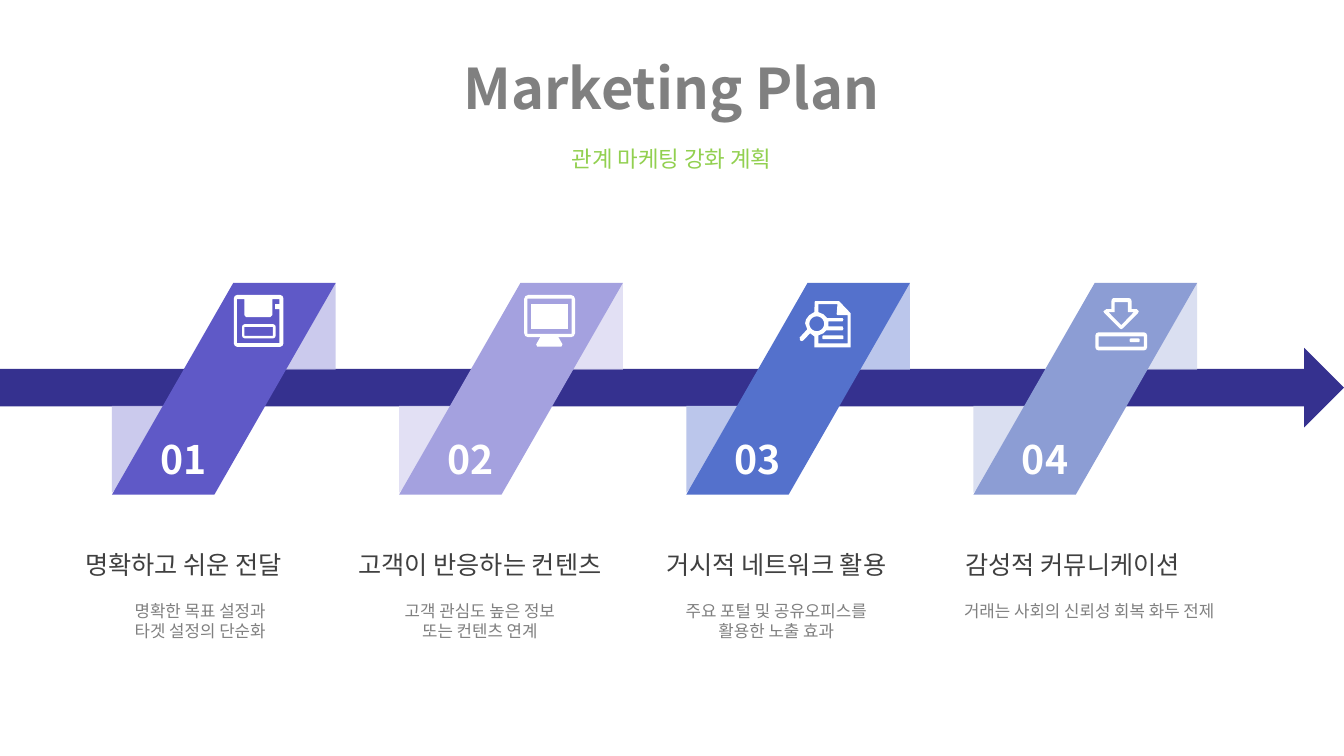
from math import cos, pi, sin

from lxml.etree import SubElement
from pptx import Presentation
from pptx.dml.color import RGBColor
from pptx.enum.shapes import MSO_SHAPE as Preset
from pptx.enum.text import MSO_ANCHOR as Anchor, PP_ALIGN as Align
from pptx.oxml.ns import qn
from pptx.util import Pt

FONT = "Noto Sans CJK KR"
WHITE = RGBColor(0xFF, 0xFF, 0xFF)
GRAY = RGBColor(0x80, 0x80, 0x80)
DARK = RGBColor(0x40, 0x40, 0x40)
GREEN = RGBColor(0x92, 0xD0, 0x50)
NAVY = RGBColor(0x35, 0x31, 0x8F)
VIOLET, VIOLET_FOLD = RGBColor(0x5F, 0x59, 0xC7), RGBColor(0xBF, 0xBD, 0xE9)
LILAC, LILAC_FOLD = RGBColor(0xA4, 0xA1, 0xDF), RGBColor(0xDB, 0xD9, 0xF2)
BLUE, BLUE_FOLD = RGBColor(0x54, 0x71, 0xCC), RGBColor(0xBB, 0xC6, 0xEB)
MIST, MIST_FOLD = RGBColor(0x8C, 0x9D, 0xD4), RGBColor(0xD1, 0xD8, 0xEE)


def rounded(left, top, right, bottom, cut=0):
    """Return the outline of a rectangle with softened corners."""
    if not cut:
        return [(left, top), (right, top), (right, bottom), (left, bottom)]
    near = cut * 0.3
    corners = [(left, top, 1, 1), (right, top, -1, 1),
               (right, bottom, -1, -1), (left, bottom, 1, -1)]
    outline = []
    for x, y, dx, dy in corners:
        arc = [(x, y + dy * cut), (x + dx * near, y + dy * near), (x + dx * cut, y)]
        outline += arc if dx == dy else arc[::-1]
    return outline


def circle(x, y, radius, steps=20):
    """Return the outline of a circle."""
    turns = [2 * pi * step / steps for step in range(steps)]
    return [(x + radius * cos(turn), y + radius * sin(turn)) for turn in turns]


DISK = [
    [rounded(0, 0, 35.3, 37, 2.2),
     [(32.4, 10.1), (32.4, 34.4), (2.2, 34.4), (2.2, 2.9), (7.5, 2.9), (7.5, 14.4),
      (8.6, 15.8), (26, 15.8), (27.4, 14.4), (27.4, 2.9), (32.4, 2.9), (32.4, 6.5),
      (29.5, 6.5), (29.5, 10.1)]],
    [rounded(5.8, 20.9, 29.8, 31, 1.8), rounded(7.5, 22.9, 27.8, 29.3)],
]
MONITOR = [
    [rounded(0, 0, 36.4, 30.2, 2.9), rounded(2.4, 2.6, 33.9, 27.8)],
    [rounded(5, 6.1, 31, 24.5)],
    [[(11.5, 30.2), (8.6, 35.3), (9.4, 37), (26.6, 37), (27.4, 35.3), (24.5, 30.2)]],
]
SEARCH = [
    [[(2.9, 28.1), (7.9, 23), (10.8, 25.2), (10.8, 33.1), (36.7, 33.1), (36.7, 8.6),
      (28.5, 0), (11.2, 0), (10.8, 7.9), (7.2, 10.1), (5, 13), (4.3, 15.8),
      (5.8, 20.2), (0.4, 26), (0.7, 28.1), (2, 28.6)],
     [(13.7, 2.2), (27.4, 2.2), (26.8, 9.4), (27.4, 10.1), (34.6, 10.1), (34.6, 30.2),
      (13.7, 30.2), (13.7, 24.5), (17.3, 23), (19.4, 20.9), (31, 20.9), (31.7, 19.8),
      (31, 18), (20.9, 18), (20.9, 14.4), (31, 14.4), (31.7, 13.2), (31, 12.2),
      (20.2, 12.2), (17.3, 9.4), (13.7, 7.9)],
     circle(12.6, 16.2, 5.3)],
    [rounded(16.6, 24.5, 31.7, 27.2, 0.7)],
]
DOWNLOAD = [
    [[(13, 0), (11.9, 0.6), (11.5, 2.2), (11.5, 7.9), (7.9, 7.9), (5.8, 9.4),
      (6.5, 10.8), (17.3, 21.6), (18.5, 22.2), (19.7, 21.6), (30.4, 10.8), (31, 9.4),
      (29.5, 7.9), (25.9, 7.9), (25.9, 2.2), (25.4, 0.6), (24.1, 0)],
     [(27.4, 10.1), (18.5, 19.4), (9.4, 10.1), (13.7, 10.1), (13.7, 2.9),
      (23.2, 2.9), (23.2, 10.1)]],
    [rounded(0, 24.5, 37, 37.4, 2.2), rounded(2.3, 27.3, 34.7, 34.7)],
    [rounded(24.5, 28.8, 31.7, 31.5, 0.9)],
]

STEPS = [
    ("01", VIOLET, VIOLET_FOLD, DISK, (87.1, 8.6), "명확하고 쉬운 전달",
     ["명확한 목표 설정과", "타겟 설정의 단순화"], 219.6),
    ("02", LILAC, LILAC_FOLD, MONITOR, (89.3, 8.6), "고객이 반응하는 컨텐츠",
     ["고객 관심도 높은 정보", "또는 컨텐츠 연계"], 195.8),
    ("03", BLUE, BLUE_FOLD, SEARCH, (80.6, 13), "거시적 네트워크 활용",
     ["주요 포털 및 공유오피스를", "활용한 노출 효과"], 195.8),
    ("04", MIST, MIST_FOLD, DOWNLOAD, (87.1, 10.8), "감성적 커뮤니케이션",
     ["거래는 사회의 신뢰성 회복 화두 전제"], 219.6),
]


def add_text(slide, lines, left, top, width, height, *, size, color, bold=False,
             anchor=Anchor.TOP):
    """Add a centred text box with one paragraph per line."""
    frame = slide.shapes.add_textbox(Pt(left), Pt(top), Pt(width), Pt(height)).text_frame
    frame.word_wrap = True
    frame.vertical_anchor = anchor
    for index, line in enumerate(lines):
        paragraph = frame.add_paragraph() if index else frame.paragraphs[0]
        paragraph.alignment = Align.CENTER
        run = paragraph.add_run()
        run.text = line
        run.font.name, run.font.size, run.font.bold = FONT, Pt(size), bold
        run.font.color.rgb = color
        SubElement(run.font._element, qn("a:ea")).set("typeface", FONT)


def paint(shape, color):
    """Give a shape a flat fill without line or shadow."""
    shape.shadow.inherit = False
    shape.fill.solid()
    shape.fill.fore_color.rgb = color
    shape.line.fill.background()


def add_preset(slide, preset, left, top, width, height, color, adjustments=()):
    """Add a flat preset shape."""
    shape = slide.shapes.add_shape(preset, Pt(left), Pt(top), Pt(width), Pt(height))
    for index, value in enumerate(adjustments):
        shape.adjustments[index] = value
    paint(shape, color)
    return shape


def add_icon(slide, parts, left, top):
    """Draw the outlines of a white icon from its top left corner."""
    for outlines in parts:
        builder = None
        for outline in outlines:
            start, *rest = [(Pt(left + x), Pt(top + y)) for x, y in outline]
            if builder is None:
                builder = slide.shapes.build_freeform(*start)
            else:
                builder.move_to(*start)
            builder.add_line_segments(rest, close=True)
        paint(builder.convert_to_shape(), WHITE)


def add_ribbon(slide, left, top, number, color, fold_color, icon, icon_offset):
    """Draw a folded ribbon with its number and icon."""
    width, height, fold = 159.8, 151.2, 62
    folds = [(left + width - fold, top, 270), (left, top + height - fold - 1.4, 90)]
    for fold_left, fold_top, turn in folds:
        flap = add_preset(slide, Preset.RIGHT_TRIANGLE, fold_left, fold_top, fold, fold,
                          fold_color)
        flap.rotation = turn
        if fold_color != BLUE_FOLD:
            tint = flap._element.spPr.find(qn("a:solidFill"))[0]
            SubElement(tint, qn("a:alpha")).set("val", "80000")
    add_preset(slide, Preset.PARALLELOGRAM, left, top, width, height, color, [0.573])
    add_text(slide, [number], left + 17, top + 105.1, 68.4, 41, size=28, color=WHITE,
             bold=True)
    add_icon(slide, icon, left + icon_offset[0], top + icon_offset[1])


def add_caption(slide, left, top, heading, details, detail_width):
    """Write the heading and details of a step."""
    add_text(slide, [heading], left, top, 243.4, 28.8, size=18, color=DARK)
    add_text(slide, details, left + 23.8, top + 36.7, detail_width,
             7.2 + 14.4 * len(details), size=12, color=GRAY)


def add_header(slide, left, top, width):
    """Write the title and subtitle."""
    add_text(slide, ["Marketing Plan"], left, top, width, 72, size=40, color=GRAY,
             bold=True, anchor=Anchor.MIDDLE)
    add_text(slide, ["관계 마케팅 강화 계획"], left, top + 74.2, width, 29.5, size=16,
             color=GREEN)


def main():
    """Build the marketing plan slide."""
    deck = Presentation()
    deck.slide_width, deck.slide_height = Pt(960), Pt(540)
    slide = deck.slides.add_slide(deck.slide_layouts[6])
    add_preset(slide, Preset.RIGHT_ARROW, 0, 248.4, 960, 56.9, NAVY, [0.47, 0.5])
    for index, step in enumerate(STEPS):
        *ribbon, heading, details, detail_width = step
        add_ribbon(slide, 80 + 205.1 * index, 202.1, *ribbon)
        add_caption(slide, 9.4 + 211.7 * index, 388.8, heading, details, detail_width)
    add_header(slide, 63.4, 25.9, 832.5)
    deck.save("out.pptx")


if __name__ == "__main__":
    main()
